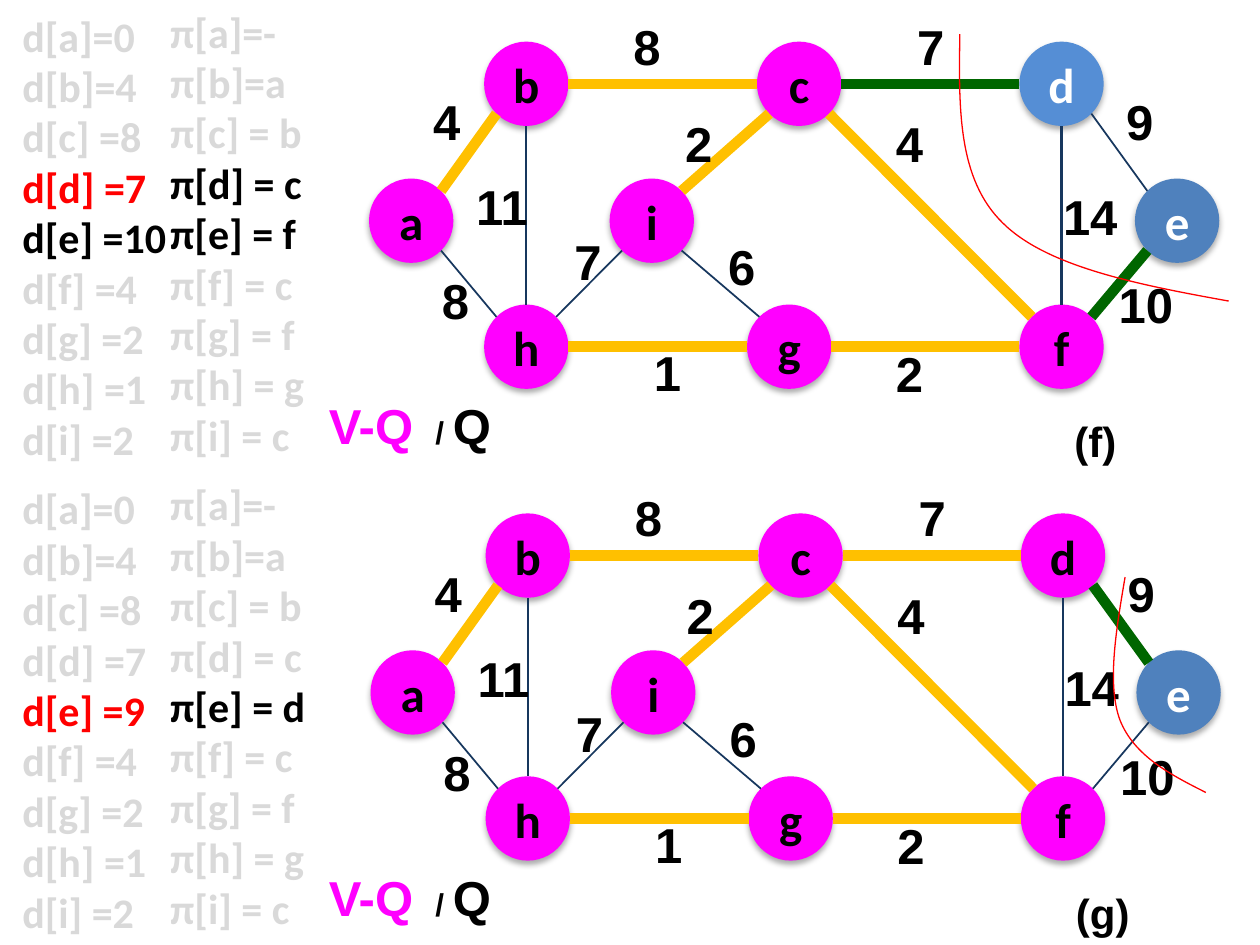
"""Build a slide with two steps of a minimum spanning tree search."""
from math import sqrt

from lxml import etree
from pptx import Presentation
from pptx.dml.color import RGBColor
from pptx.enum.shapes import MSO_CONNECTOR, MSO_SHAPE
from pptx.enum.text import MSO_ANCHOR, MSO_AUTO_SIZE, PP_ALIGN
from pptx.oxml.ns import qn
from pptx.util import Cm, Pt

STRAIGHT, ELLIPSE = MSO_CONNECTOR.STRAIGHT, MSO_SHAPE.OVAL
MIDDLE, CENTER = MSO_ANCHOR.MIDDLE, PP_ALIGN.CENTER
GROW = MSO_AUTO_SIZE.SHAPE_TO_FIT_TEXT

BLACK = RGBColor(0x00, 0x00, 0x00)
WHITE = RGBColor(0xFF, 0xFF, 0xFF)
GREY = RGBColor(0xD9, 0xD9, 0xD9)
RED = RGBColor(0xFF, 0x00, 0x00)
MAGENTA = RGBColor(0xFF, 0x00, 0xFF)
GOLD = RGBColor(0xFF, 0xC0, 0x00)
GREEN = RGBColor(0x00, 0x66, 0x00)
NAVY = RGBColor(0x17, 0x37, 0x5E)
SKY = RGBColor(0x55, 0x8E, 0xD5)
STEEL = RGBColor(0x4F, 0x81, 0xBD)

NODE_FONT = {"name": "Calibri", "size": Pt(28), "bold": True}
LIST_FONT = {"name": "Calibri", "size": Pt(24), "bold": True}
LABEL_FONT = {"name": "Arial", "size": Pt(28), "bold": True}
STEP_FONT = {"name": "Arial", "size": Pt(24), "bold": True}
SLASH_FONT = {"name": "Arial", "size": Pt(18), "bold": True}
GROWING = {"word_wrap": True, "auto_size": GROW}

RADIUS = 0.85
LABEL_HEIGHT = 1.45
NODES = {
    "b": (10.61, 1.69), "c": (16.11, 1.69), "d": (21.4, 1.69),
    "a": (8.29, 4.45), "i": (13.14, 4.45), "e": (23.73, 4.45),
    "h": (10.61, 6.99), "g": (15.91, 6.99), "f": (21.4, 6.99),
}
# ends: weight, label left, label top, label width
EDGES = {
    "ef": ("10", 22.3, 5.41, 1.69), "bc": ("8", 12.52, 0.2, 1.27),
    "cd": ("7", 18.24, 0.2, 1.27), "gf": ("2", 17.81, 6.81, 1.69),
    "hg": ("1", 12.93, 6.78, 1.69), "df": ("14", 21.18, 3.63, 1.69),
    "bh": ("11", 9.35, 3.43, 1.69), "ba": ("4", 8.48, 1.73, 1.27),
    "de": ("9", 22.45, 1.73, 1.27), "ah": ("8", 8.66, 5.33, 1.69),
    "ci": ("2", 13.56, 2.16, 1.69), "ih": ("7", 11.33, 4.55, 1.69),
    "ig": ("6", 14.43, 4.65, 1.69), "cf": ("4", 17.81, 2.16, 1.69),
}
TREE = {"bc", "gf", "hg", "ba", "ci", "cf"}
DISTANCES = {"a": "=0", "b": "=4", "c": " =8", "d": " =7", "e": " =10",
             "f": " =4", "g": " =2", "h": " =1", "i": " =2"}
PARENTS = {"a": "=-", "b": "=a", "c": " = b", "d": " = c", "e": " = f",
           "f": " = c", "g": " = f", "h": " = g", "i": " = c"}
STEPS = [
    {"name": "(f)", "left": 0, "top": 0, "list_top": 0,
     "tree": TREE, "cut": {"cd", "ef"}, "outside": {"d": SKY, "e": STEEL},
     "distances": DISTANCES, "parents": PARENTS,
     "distance_colours": {"d": RED, "e": BLACK},
     "parent_colours": {"d": BLACK, "e": BLACK},
     "curve": [(19.35, 0.69), (19.33, 2.16), (19.3, 3.61), (20.22, 4.5),
               (21.11, 5.38), (22.94, 5.74), (24.77, 6.07)], "turn": 0},
    {"name": "(g)", "left": 0.03, "top": 9.51, "list_top": 9.53,
     "tree": TREE | {"cd"}, "cut": {"de"}, "outside": {"e": STEEL},
     "distances": DISTANCES | {"e": " =9"}, "parents": PARENTS | {"e": " = d"},
     "distance_colours": {"e": RED}, "parent_colours": {"e": BLACK},
     "curve": [(22.33, 11.8), (22.33, 12.9), (22.33, 14), (22.71, 14.66),
               (23.11, 15.32), (23.88, 15.57), (24.66, 15.81)], "turn": 9.6},
]


def apply(target, values):
    """Set every attribute named in values on the target."""
    for name, value in values.items():
        setattr(target, name, value)


def add_span(para, text, colour, font):
    """Add one formatted run of text to a paragraph."""
    span = para.add_run()
    span.text = text
    apply(span.font, font)
    span.font.color.rgb = colour


def add_text(shapes, place, lines):
    """Add a text box whose lines are lists of (text, colour, font)."""
    box = shapes.add_textbox(*(Cm(length) for length in place))
    frame = box.text_frame
    apply(frame, GROWING)
    for number, spans in enumerate(lines):
        para = frame.add_paragraph() if number else frame.paragraphs[0]
        for span in spans:
            add_span(para, *span)


def add_node(shapes, name, x, y, fill, colour):
    """Add a vertex as a circle with a soft shadow, centred on x and y."""
    node = shapes.add_shape(ELLIPSE, Cm(x - RADIUS), Cm(y - RADIUS),
                            Cm(2 * RADIUS), Cm(2 * RADIUS))
    node.fill.solid()
    node.fill.fore_color.rgb = fill
    node.line.fill.background()
    node.shadow.inherit = False
    effects = node._element.spPr.find(qn("a:effectLst"))
    shadow = etree.SubElement(effects, qn("a:outerShdw"), blurRad=str(Pt(3.5)),
                              dist=str(Pt(2.2)), dir="5400000", rotWithShape="0")
    black = etree.SubElement(shadow, qn("a:srgbClr"), val=str(BLACK))
    etree.SubElement(black, qn("a:alpha"), val="32000")
    node.text_frame.vertical_anchor = MIDDLE
    para = node.text_frame.paragraphs[0]
    para.alignment = CENTER
    add_span(para, name, colour, NODE_FONT)


def rim_offsets(start, end):
    """Return the steps from the centre to the rim that face the end."""
    signs = [(b > a) - (b < a) for a, b in zip(start, end)]
    reach = RADIUS * sqrt(0.5) if all(signs) else RADIUS
    return [sign * reach for sign in signs]


def add_edge(shapes, start, end, colour, width):
    """Join the rims of two vertices with a straight line."""
    dx, dy = rim_offsets(start, end)
    edge = shapes.add_connector(STRAIGHT, Cm(start[0] + dx), Cm(start[1] + dy),
                                Cm(end[0] - dx), Cm(end[1] - dy))
    edge.line.color.rgb = colour
    edge.line.width = Pt(width)
    etree.SubElement(edge._element.spPr, qn("a:effectLst"))


def add_curve(shapes, points, turn):
    """Add an open red curve made of cubic segments."""
    first, *rest = [(Cm(x), Cm(y)) for x, y in points]
    builder = shapes.build_freeform(*first)
    builder.add_line_segments(rest, close=False)
    curve = builder.convert_to_shape()
    outline = curve._element.xpath(".//a:path")[0]
    corners = outline.findall(qn("a:lnTo"))
    for index in range(0, len(corners), 3):
        cubic = etree.SubElement(outline, qn("a:cubicBezTo"))
        for corner in corners[index:index + 3]:
            cubic.append(corner[0])
            outline.remove(corner)
    curve.rotation = turn
    curve.fill.background()
    curve.line.color.rgb = RED
    curve.line.width = Pt(0.75)
    curve.shadow.inherit = False


def add_graph(page, step):
    """Add the grouped graph of one step."""
    shapes = page.shapes.add_group_shape().shapes
    left, top = step["left"], step["top"]
    centres = {name: (x + left, y + top) for name, (x, y) in NODES.items()}
    for name, centre in centres.items():
        outside = name in step["outside"]
        add_node(shapes, name, *centre, step["outside"].get(name, MAGENTA),
                 WHITE if outside else BLACK)
    for ends in EDGES:
        colour, width = NAVY, 1.5 if ends == "df" else 1
        if ends in step["tree"] | step["cut"]:
            colour, width = GOLD if ends in step["tree"] else GREEN, 6
        add_edge(shapes, centres[ends[0]], centres[ends[1]], colour, width)
    for weight, x, y, width in EDGES.values():
        add_text(shapes, (x + left, y + top, width, LABEL_HEIGHT),
                 [[(weight, BLACK, LABEL_FONT)]])


def add_list(page, place, symbol, values, colours):
    """Add one column of values, one line for each vertex."""
    add_text(page.shapes, place,
             [[(f"{symbol}[{name}]{value}", colours.get(name, GREY), LIST_FONT)]
              for name, value in values.items()])


def main():
    """Build the deck and save it."""
    deck = Presentation()
    apply(deck, {"slide_width": Cm(25.4), "slide_height": Cm(19.05)})
    page = deck.slides.add_slide(deck.slide_layouts[6])
    for step in STEPS:
        top, list_top = step["top"], step["list_top"]
        add_graph(page, step)
        add_text(page.shapes, (21.41 + step["left"], 8.26 + top, 2.12, 1.27),
                 [[(step["name"], BLACK, STEP_FONT)]])
        add_curve(page.shapes, step["curve"], step["turn"])
        add_text(page.shapes, (6.38, 7.85 + top, 3.81, LABEL_HEIGHT),
                 [[("V-Q ", MAGENTA, LABEL_FONT), (" / ", BLACK, SLASH_FONT),
                   ("Q", BLACK, LABEL_FONT)]])
        add_list(page, (0.2, 0.08 + list_top, 3.91, 10.52), "d",
                 step["distances"], step["distance_colours"])
        add_list(page, (3.18, list_top, 4.45, 10.26), "π",
                 step["parents"], step["parent_colours"])
    deck.save("out.pptx")


if __name__ == "__main__":
    main()
